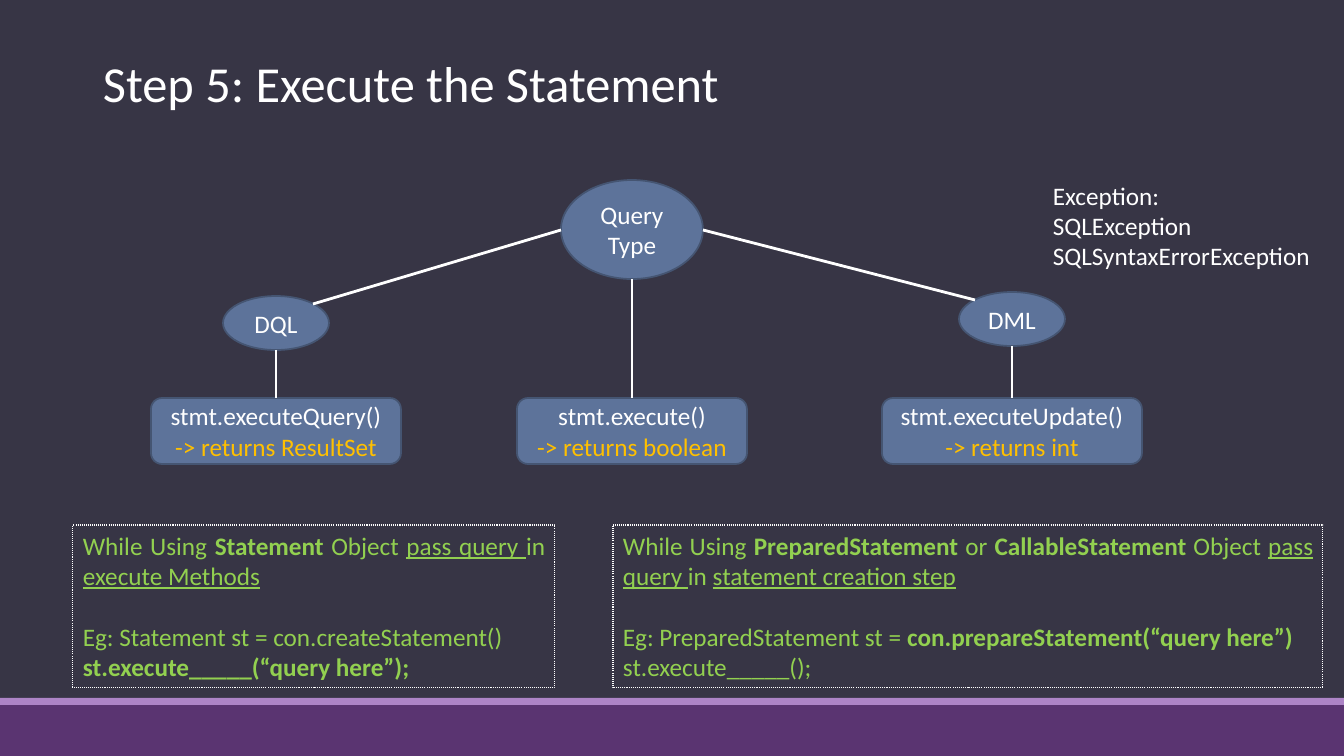
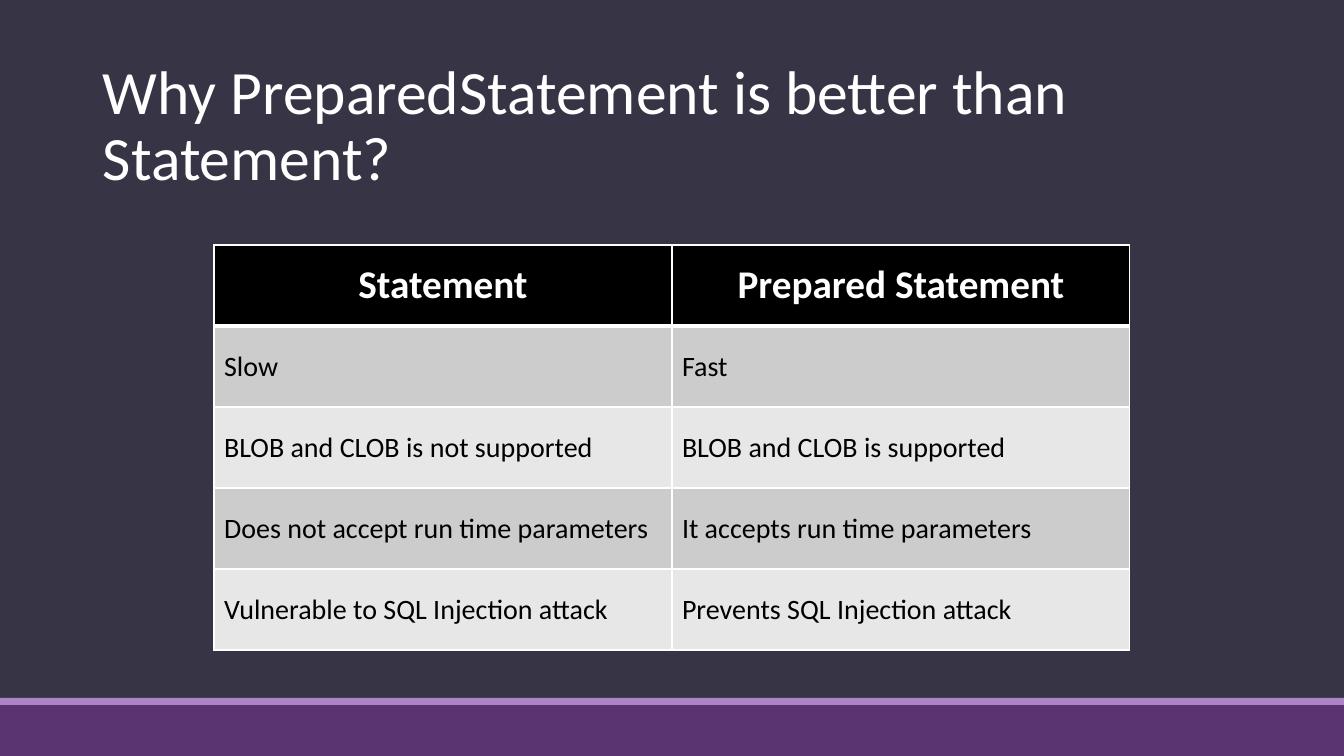
import math
from dataclasses import dataclass

from lxml import etree
from pptx import Presentation
from pptx.dml.color import RGBColor
from pptx.enum.dml import MSO_LINE
from pptx.enum.shapes import MSO_CONNECTOR, MSO_SHAPE
from pptx.enum.text import MSO_ANCHOR, MSO_AUTO_SIZE, PP_ALIGN
from pptx.oxml.ns import qn
from pptx.util import Emu, Pt

RECT, OVAL, ROUNDED = MSO_SHAPE.RECTANGLE, MSO_SHAPE.OVAL, MSO_SHAPE.ROUNDED_RECTANGLE
STRAIGHT, DOTTED = MSO_CONNECTOR.STRAIGHT, MSO_LINE.ROUND_DOT
LEFT, CENTER, JUSTIFY = PP_ALIGN.LEFT, PP_ALIGN.CENTER, PP_ALIGN.JUSTIFY
TOP, MIDDLE = MSO_ANCHOR.TOP, MSO_ANCHOR.MIDDLE
GROW = MSO_AUTO_SIZE.SHAPE_TO_FIT_TEXT
BLANK_LAYOUT = 6
TOP_SIDE = 0
PX_PER_INCH = 100.8


@dataclass(frozen=True)
class Theme:
    font: str = "Calibri"
    background: str = "373545"
    band: str = "5A3471"
    stripe: str = "AD84C6"
    node: str = "5D739A"
    node_edge: str = "455572"
    light: str = "FFFFFF"
    dark: str = "000000"
    returns: str = "FFC000"
    note: str = "92D050"
    row_fills: tuple = ("CCCCCC", "E7E7E7")
    body_size: int = 18
    cell_size: int = 20
    header_size: int = 28
    step_title_size: int = 36
    title_size: int = 44
    title_spacing: float = 0.9
    edge: float = 1.25
    link: float = 2
    note_edge: float = 0.75
    grid: float = 1
    header_rule: float = 3


THEME = Theme()


@dataclass(frozen=True)
class Box:
    x: int
    y: int
    w: int
    h: int

    def inner(self, x, y, w, h):
        """A box placed relative to this one's top left corner."""
        return Box(self.x + x, self.y + y, w, h)

    def emu(self):
        return px(self.x), px(self.y), px(self.w), px(self.h)

    def at_angle(self, degrees):
        """The point on the inscribed ellipse, counted clockwise from the right."""
        turn = math.radians(degrees)
        return (round(self.x + self.w / 2 * (1 + math.cos(turn))),
                round(self.y + self.h / 2 * (1 + math.sin(turn))))


SLIDE = Box(0, 0, 1344, 756)


def px(length):
    return Emu(round(length * 914400 / PX_PER_INCH))


def rgb(value):
    return RGBColor.from_string(value)


def write(para, spans, color, size=THEME.body_size, align=LEFT, bold=False):
    """Fill a paragraph from (text, style) pairs, style being "", "b" or "u"."""
    para.alignment = align
    font = para.font
    font.name, font.size, font.bold = THEME.font, Pt(size), bold
    font.color.rgb = rgb(color)
    for text, style in spans:
        span = para.add_run()
        span.text = text
        if style == "b":
            span.font.bold = True
        elif style == "u":
            span.font.underline = True


def paragraphs(frame, count):
    return [frame.paragraphs[0]] + [frame.add_paragraph() for _ in range(count - 1)]


def add_text(page, box, lines, color, wrap=True, **style):
    shape = page.shapes.add_textbox(*box.emu())
    frame = shape.text_frame
    frame.word_wrap, frame.vertical_anchor = wrap, TOP
    paras = paragraphs(frame, len(lines))
    for para, spans in zip(paras, lines):
        write(para, spans, color, **style)
    return shape, paras


def add_block(page, kind, box, fill, edge=None):
    shape = page.shapes.add_shape(kind, *box.emu())
    shape.shadow.inherit = False
    shape.fill.solid()
    shape.fill.fore_color.rgb = rgb(fill)
    if edge:
        shape.line.color.rgb = rgb(edge)
        shape.line.width = Pt(THEME.edge)
    else:
        shape.line.fill.background()
    return shape


def add_node(page, kind, box, lines):
    """A centred diagram node; lines are (text, colour) pairs."""
    shape = add_block(page, kind, box, THEME.node, THEME.node_edge)
    frame = shape.text_frame
    frame.word_wrap, frame.vertical_anchor = True, MIDDLE
    for para, (text, color) in zip(paragraphs(frame, len(lines)), lines):
        write(para, [(text, "")], color, align=CENTER)
    return shape


def add_link(page, start, end):
    link = page.shapes.add_connector(STRAIGHT, *map(px, start + end))
    link.line.color.rgb = rgb(THEME.light)
    link.line.width = Pt(THEME.link)
    etree.SubElement(link._element.spPr, qn("a:effectLst"))
    return link


def add_page(deck, title, title_box, title_size):
    page = deck.slides.add_slide(deck.slide_layouts[BLANK_LAYOUT])
    add_block(page, RECT, SLIDE.inner(0, 705, SLIDE.w, 51), THEME.band)
    add_block(page, RECT, SLIDE.inner(0, 698, SLIDE.w, 7), THEME.stripe)
    _, (para,) = add_text(page, title_box, [[(title, "")]], THEME.light, size=title_size)
    para.line_spacing = THEME.title_spacing
    return page


def add_query_tree(page, box):
    root = box.inner(410, 0, 142, 99)
    dql = box.inner(72, 116, 106, 54)
    dml = box.inner(808, 112, 106, 54)
    for oval, label in ((root, "Query Type"), (dql, "DQL"), (dml, "DML")):
        add_node(page, OVAL, oval, [(label, THEME.light)])
    add_link(page, dql.at_angle(-45), root.at_angle(180))
    add_link(page, root.at_angle(0), dml.at_angle(-135))

    methods = (
        (dql, 250, "stmt.executeQuery()", "-> returns ResultSet"),
        (root, 230, "stmt.execute()", "-> returns boolean"),
        (dml, 260, "stmt.executeUpdate()", "-> returns int"),
    )
    for parent, width, call, result in methods:
        center, bottom = parent.at_angle(90)
        leaf = Box(center - width // 2, box.y + 218, width, 66)
        node = add_node(page, ROUNDED, leaf, [(call, THEME.light), (result, THEME.returns)])
        link = add_link(page, (center, bottom), (center, leaf.y))
        link.end_connect(node, TOP_SIDE)


def add_note(page, box, rule, example):
    """A dotted box: one rule, then an example set off by a line's height."""
    shape, paras = add_text(page, box, [rule, *example], THEME.note, align=JUSTIFY)
    shape.text_frame.auto_size = GROW
    shape.line.color.rgb = rgb(THEME.light)
    shape.line.width = Pt(THEME.note_edge)
    shape.line.dash_style = DOTTED
    paras[1].space_before = Pt(22)


def set_borders(cell, widths):
    """Draw the cell's borders; they must come before its fill."""
    props = cell._tc.get_or_add_tcPr()
    for side, width in widths.items():
        line = etree.SubElement(props, qn(f"a:ln{side}"), w=str(Pt(width)))
        fill = etree.SubElement(line, qn("a:solidFill"))
        etree.SubElement(fill, qn("a:srgbClr"), val=THEME.light)


def add_comparison(page, box, rows):
    table = page.shapes.add_table(len(rows), len(rows[0]), *box.emu()).table
    table.horz_banding = False
    for column in table.columns:
        column.width = px(box.w // len(rows[0]))
    for index, texts in enumerate(rows):
        table.rows[index].height = px(box.h // len(rows))
        header = index == 0
        borders = dict.fromkeys("LRTB", THEME.grid)
        if index < 2:
            borders["B" if header else "T"] = THEME.header_rule
        fill = THEME.dark if header else THEME.row_fills[(index - 1) % 2]
        color = THEME.light if header else THEME.dark
        size = THEME.header_size if header else THEME.cell_size
        for cell, text in zip(table.rows[index].cells, texts):
            set_borders(cell, borders)
            cell.fill.solid()
            cell.fill.fore_color.rgb = rgb(fill)
            cell.vertical_anchor = MIDDLE
            write(cell.text_frame.paragraphs[0], [(text, "")], color, size,
                  CENTER if header else LEFT, header)


def build_execute_page(deck):
    page = add_page(deck, "Step 5: Execute the Statement",
                    SLIDE.inner(93, 54, 1159, 99), THEME.step_title_size)
    add_query_tree(page, SLIDE.inner(151, 180, 991, 284))
    add_note(page, SLIDE.inner(73, 525, 482, 163),
             [("While Using ", ""), ("Statement", "b"), (" Object ", ""),
              ("pass query ", "u"), ("in ", ""), ("execute Methods", "u")],
             [[("Eg: Statement st = con.createStatement()", "")],
              [("st.execute_____(“query here”);", "b")]])
    add_note(page, SLIDE.inner(613, 525, 710, 163),
             [("While Using ", ""), ("PreparedStatement", "b"), (" or ", ""),
              ("CallableStatement", "b"), (" Object ", ""), ("pass query ", "u"),
              ("in ", ""), ("statement creation step", "u")],
             [[("Eg: PreparedStatement st = ", ""),
               ("con.prepareStatement(“query here”)", "b")],
              [("st.execute_____();", "")]])
    exceptions = ("Exception:", "SQLException", "SQLSyntaxErrorException")
    shape, _ = add_text(page, SLIDE.inner(1043, 175, 279, 102),
                        [[(line, "")] for line in exceptions], THEME.light, wrap=False)
    shape.text_frame.auto_size = GROW


def build_comparison_page(deck):
    page = add_page(deck, "Why PreparedStatement is better than Statement?",
                    SLIDE.inner(93, 56, 1159, 137), THEME.title_size)
    add_comparison(page, SLIDE.inner(214, 245, 916, 405), (
        ("Statement", "Prepared Statement"),
        ("Slow", "Fast"),
        ("BLOB and CLOB is not supported", "BLOB and CLOB is supported"),
        ("Does not accept run time parameters", "It accepts run time parameters"),
        ("Vulnerable to SQL Injection attack", "Prevents SQL Injection attack"),
    ))


def main():
    deck = Presentation()
    deck.slide_width, deck.slide_height = px(SLIDE.w), px(SLIDE.h)
    backdrop = deck.slide_master.background.fill
    backdrop.solid()
    backdrop.fore_color.rgb = rgb(THEME.background)
    build_execute_page(deck)
    build_comparison_page(deck)
    deck.save("out.pptx")


if __name__ == "__main__":
    main()
